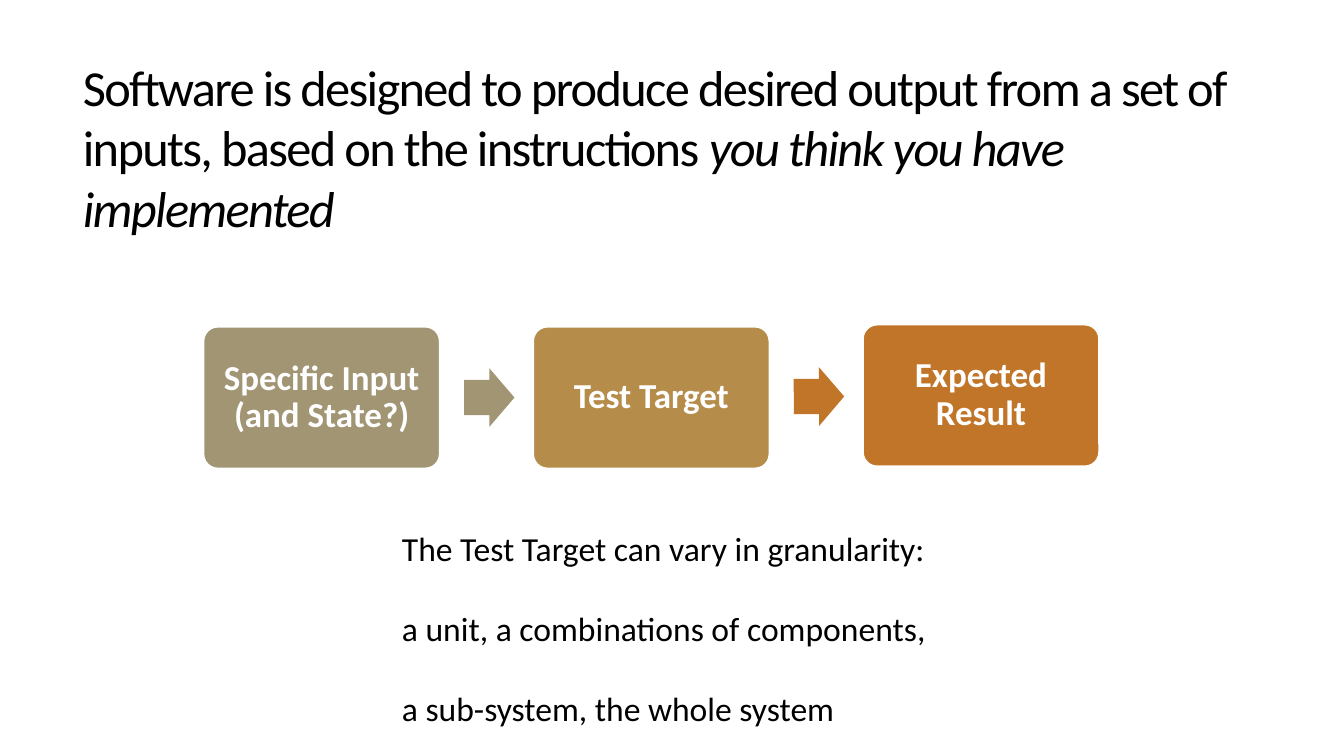
from pptx import Presentation
from pptx.dml.color import RGBColor
from pptx.enum.shapes import MSO_SHAPE as SHAPE
from pptx.enum.text import MSO_ANCHOR as ANCHOR, MSO_AUTO_SIZE as AUTO_SIZE, PP_ALIGN as ALIGN
from pptx.util import Pt

FONT = "Calibri"
COLORS = {
    "text": "000000",
    "white": "FFFFFF",
    "input": "A19574",
    "target": "B58C4A",
    "result": "C17529",
}
# Label, colour, and how far the box sits above the row
STEPS = [
    ("Specific Input (and State?)", "input", 0),
    ("Test Target", "target", 0),
    ("Expected Result", "result", 1.5),
]
GRANULARITY = [
    "The Test Target can vary in granularity:",
    "a unit, a combinations of components,",
    "a sub-system, the whole system",
]


def rgb(name):
    return RGBColor.from_string(COLORS[name])


def set_font(paragraph, size, color, bold=None):
    font = paragraph.font
    font.name, font.size, font.bold = FONT, Pt(size), bold
    font.color.rgb = rgb(color)


def add_block(slide, kind, box, color):
    block = slide.shapes.add_shape(kind, *map(Pt, box))
    block.shadow.inherit = False
    block.fill.solid()
    block.fill.fore_color.rgb = rgb(color)
    block.line.fill.background()
    return block


def add_headline(slide, left, top, width, height):
    headline = slide.shapes.title
    headline.left, headline.top = Pt(left), Pt(top)
    headline.width, headline.height = Pt(width), Pt(height)
    frame = headline.text_frame
    frame.auto_size = AUTO_SIZE.NONE
    frame.vertical_anchor = ANCHOR.MIDDLE
    sentence = frame.paragraphs[0]
    sentence.alignment = ALIGN.LEFT
    set_font(sentence, 36, "text")
    for words, italic in [
        ("Software is designed to produce desired output from a set of inputs, "
         "based on the instructions ", None),
        ("you think you have implemented", True),
    ]:
        run = sentence.add_run()
        run.text = words
        run.font.italic = italic
        run.font._element.set("spc", "-120")  # tighter letter spacing


def add_step(slide, left, top, width, height, label, color):
    step = add_block(slide, SHAPE.ROUNDED_RECTANGLE, (left, top, width, height), color)
    step.adjustments[0] = 0.1
    step.line.color.rgb = rgb("white")
    step.line.width = Pt(1)
    frame = step.text_frame
    frame.word_wrap = True
    frame.vertical_anchor = ANCHOR.MIDDLE
    frame.margin_left = frame.margin_right = Pt(8)
    caption = frame.paragraphs[0]
    caption.text = label
    caption.alignment = ALIGN.CENTER
    caption.line_spacing = 0.9
    set_font(caption, 25, "white", bold=True)


def add_process(slide, left, top, width, height):
    step_width, arrow_width, arrow_height, arrow_gap = 168.5, 36, 42, 17.5
    pitch = (width - step_width) / (len(STEPS) - 1)
    previous_lift = 0
    for i, (label, color, lift) in enumerate(STEPS):
        step_left = left + i * pitch
        add_step(slide, step_left, top - lift, step_width, height, label, color)
        # Arrow from the step before, in that step's or the rising step's colour
        if i:
            arrow_left = step_left - pitch + step_width + arrow_gap
            arrow_top = top + (height - arrow_height - lift - previous_lift) / 2
            arrow_color = color if lift else STEPS[i - 1][1]
            arrow = add_block(slide, SHAPE.RIGHT_ARROW,
                              (arrow_left, arrow_top, arrow_width, arrow_height), arrow_color)
            arrow.adjustments[0] = 0.6
            arrow.adjustments[1] = 0.5
            arrow.rotation = -0.2 if lift else 0
        previous_lift = lift


def add_granularity(slide, left, top, width, height):
    note = slide.shapes.add_textbox(Pt(left), Pt(top), Pt(width), Pt(height))
    frame = note.text_frame
    frame.word_wrap = True
    for i, line in enumerate(GRANULARITY):
        paragraph = frame.add_paragraph() if i else frame.paragraphs[0]
        paragraph.text = line
        paragraph.space_before = Pt(28.5 if i else 0)
        set_font(paragraph, 24, "text")


def main():
    deck = Presentation()
    deck.slide_width, deck.slide_height = Pt(960), Pt(540)
    slide = deck.slides.add_slide(deck.slide_layouts[5])  # title only
    add_headline(slide, 52, 39.5, 848, 130.5)
    add_process(slide, 145.5, 233.5, 639.5, 101)
    add_granularity(slide, 280, 373.5, 392, 94.5)
    deck.save("out.pptx")


if __name__ == "__main__":
    main()
